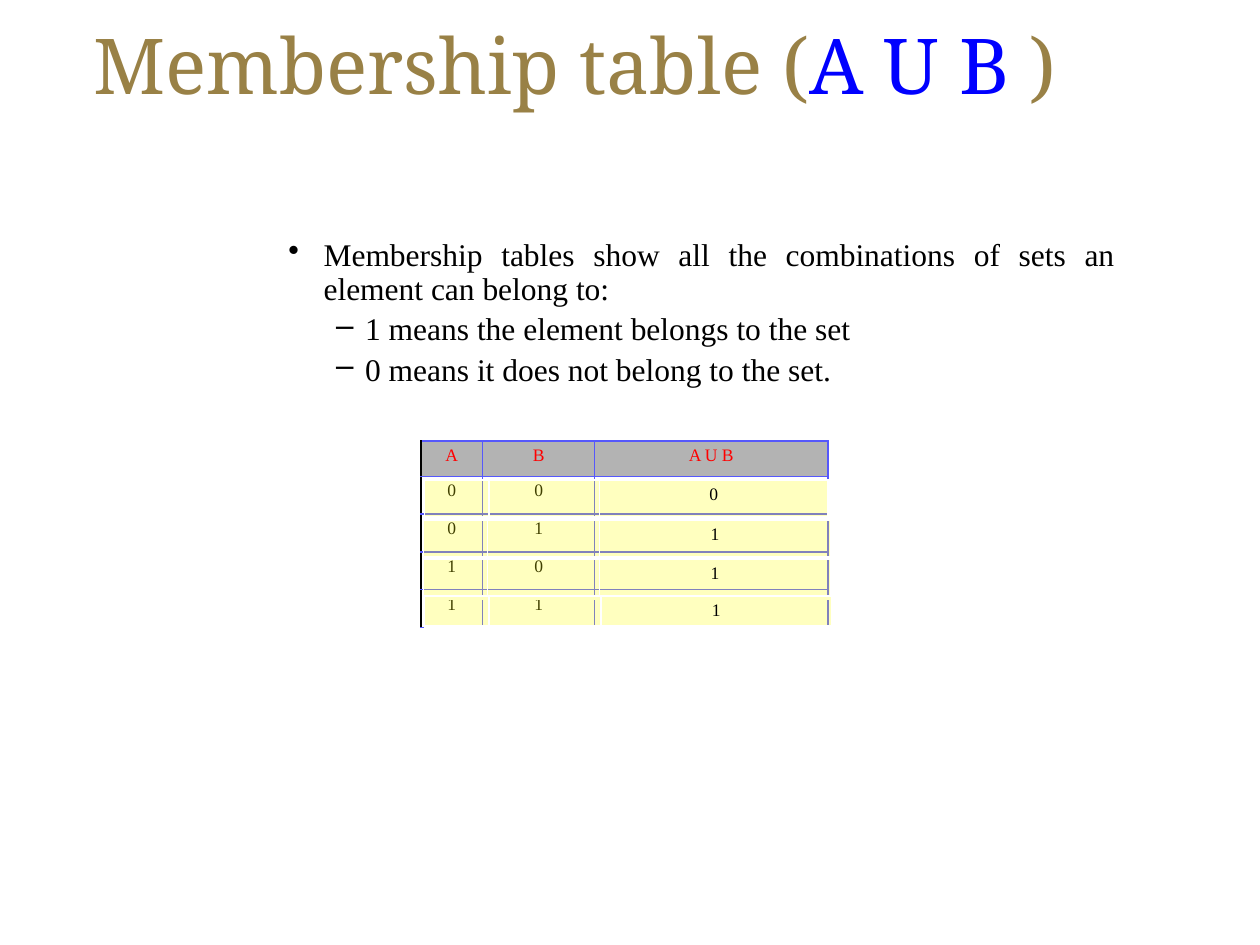
from lxml import etree
from pptx import Presentation
from pptx import util as u
from pptx.dml.color import RGBColor
from pptx.enum import text
from pptx.oxml.ns import qn

COLORS = {"gold": "998146", "blue": "0000FF", "black": "000000", "red": "FF0000",
          "grid": "5658FC", "header": "B3B3B3", "white": "FFFFFF", "yellow": "FFFF00"}
SERIF = "Times New Roman"

# Content
TITLE = [("Membership table (", "gold"), ("A U B ", "blue"), (")", "gold")]
# text, bullet, level, left indent, hanging indent
BODY = [
    ("Membership tables show all the combinations of sets an element can belong to:",
     "•", 0, 0.28, 0.28),
    ("1 means the element belongs to the set ", "–", 1, 0.61, 0.23),
    ("0 means it does not belong to the set.", "–", 1, 0.61, 0.23),
]
GRID = [("A", "B", "A U B"), ("0", "0", ""), ("0", "1", ""), ("1", "0", ""), ("1", "1", "")]
# result, left, top, height, column widths
RESULTS = [
    ("0", 3.37, 3.81, 0.3, (0.51, 0.88, 1.81)),
    ("1", 3.36, 4.44, 0.3, (0.51, 0.89, 1.83)),
    ("1", 3.37, 4.73, 0.24, (0.51, 0.89, 1.83)),
    ("1", 3.36, 4.13, 0.3, (0.51, 0.89, 1.83)),
]
GRID_BORDERS = {"L": ("grid", 1), "R": ("grid", 1), "T": ("grid", 1), "B": ("grid", 1)}
RESULT_BORDERS = {"L": ("white", 1), "R": ("white", 1), "T": ("white", 1), "B": ("white", 3)}


def style_run(run, size, font, color):
    run.font.size = u.Pt(size)
    run.font.name = font
    run.font.color.rgb = RGBColor.from_string(COLORS[color])


def add_text_box(slide, left, top, width, height):
    frame = slide.shapes.add_textbox(*map(u.Inches, (left, top, width, height))).text_frame
    frame.word_wrap = True
    return frame


def set_borders(cell, borders):
    properties = cell._tc.get_or_add_tcPr()
    for index, (side, (color, width)) in enumerate(borders.items()):
        line = etree.Element(qn(f"a:ln{side}"), w=str(u.Pt(width)))
        fill = etree.SubElement(line, qn("a:solidFill"))
        etree.SubElement(fill, qn("a:srgbClr"), val=COLORS[color])
        properties.insert(index, line)


def fill_cell(cell, color, alpha=None):
    if color is None:
        cell.fill.background()
        return
    cell.fill.solid()
    cell.fill.fore_color.rgb = RGBColor.from_string(COLORS[color])
    if alpha:
        srgb = cell._tc.tcPr.find(".//" + qn("a:srgbClr"))
        etree.SubElement(srgb, qn("a:alpha"), val=str(alpha * 1000))


def write_cell(cell, words, color):
    cell.margin_left = cell.margin_right = u.Inches(0.07)
    cell.margin_top = cell.margin_bottom = u.Inches(0.04)
    paragraph = cell.text_frame.paragraphs[0]
    paragraph.alignment = text.PP_ALIGN.CENTER
    if words:
        paragraph.text = words
        style_run(paragraph.runs[0], 10, SERIF, color)
    else:  # keeps an empty cell from stretching its row
        etree.SubElement(paragraph._p, qn("a:endParaRPr"), sz="1000")


def add_plain_table(slide, left, top, widths, heights):
    table = slide.shapes.add_table(
        len(heights), len(widths),
        *map(u.Inches, (left, top, sum(widths), sum(heights)))).table
    table.first_row = table.horz_banding = False
    for column, width in zip(table.columns, widths):
        column.width = u.Inches(width)
    for row, height in zip(table.rows, heights):
        row.height = u.Inches(height)
    return table


def add_title(slide):
    frame = add_text_box(slide, 0.64, 0.12, 8.61, 0.81)
    frame.margin_top = u.Inches(0.02)
    for words, color in TITLE:
        run = frame.paragraphs[0].add_run()
        run.text = words
        style_run(run, 44, "Noto Serif", color)


def add_body(slide):
    frame = add_text_box(slide, 2.19, 1.85, 6.76, 1.32)
    for index, (words, bullet, level, indent, hanging) in enumerate(BODY):
        paragraph = frame.add_paragraph() if index else frame.paragraphs[0]
        paragraph.text = words
        paragraph.level = level
        paragraph.alignment = text.PP_ALIGN.JUSTIFY
        paragraph.line_spacing = 0.9
        paragraph.space_before = u.Pt(3.6)
        style_run(paragraph.runs[0], 18, SERIF, "black")
        properties = paragraph._p.get_or_add_pPr()
        properties.set("marL", str(u.Inches(indent)))
        properties.set("indent", str(-u.Inches(hanging)))
        etree.SubElement(properties, qn("a:buChar"), char=bullet)


def add_grid(slide):
    table = add_plain_table(slide, 3.34, 3.5, (0.49, 0.89, 1.85), (0.28, 0.3, 0.3, 0.3, 0.3))
    for r, row in enumerate(GRID):
        for c, words in enumerate(row):
            cell = table.cell(r, c)
            write_cell(cell, words, "black" if r else "red")
            fill_cell(cell, None if r else "header")
            left_edge = {"L": ("black", 1)} if c == 0 else {}
            set_borders(cell, {**GRID_BORDERS, **left_edge})


def add_result(slide, result, left, top, height, widths):
    table = add_plain_table(slide, left, top, widths, (height,))
    for c, words in enumerate(("", "", result)):
        cell = table.cell(0, c)
        write_cell(cell, words, "black")
        fill_cell(cell, "yellow", alpha=25)
        set_borders(cell, RESULT_BORDERS)


def main():
    presentation = Presentation()
    presentation.slide_width, presentation.slide_height = u.Inches(10), u.Inches(7.5)
    slide = presentation.slides.add_slide(presentation.slide_layouts[6])
    add_title(slide)
    add_grid(slide)
    add_body(slide)
    # Translucent strips carrying the result column
    for strip in RESULTS:
        add_result(slide, *strip)
    presentation.save("out.pptx")


if __name__ == "__main__":
    main()
